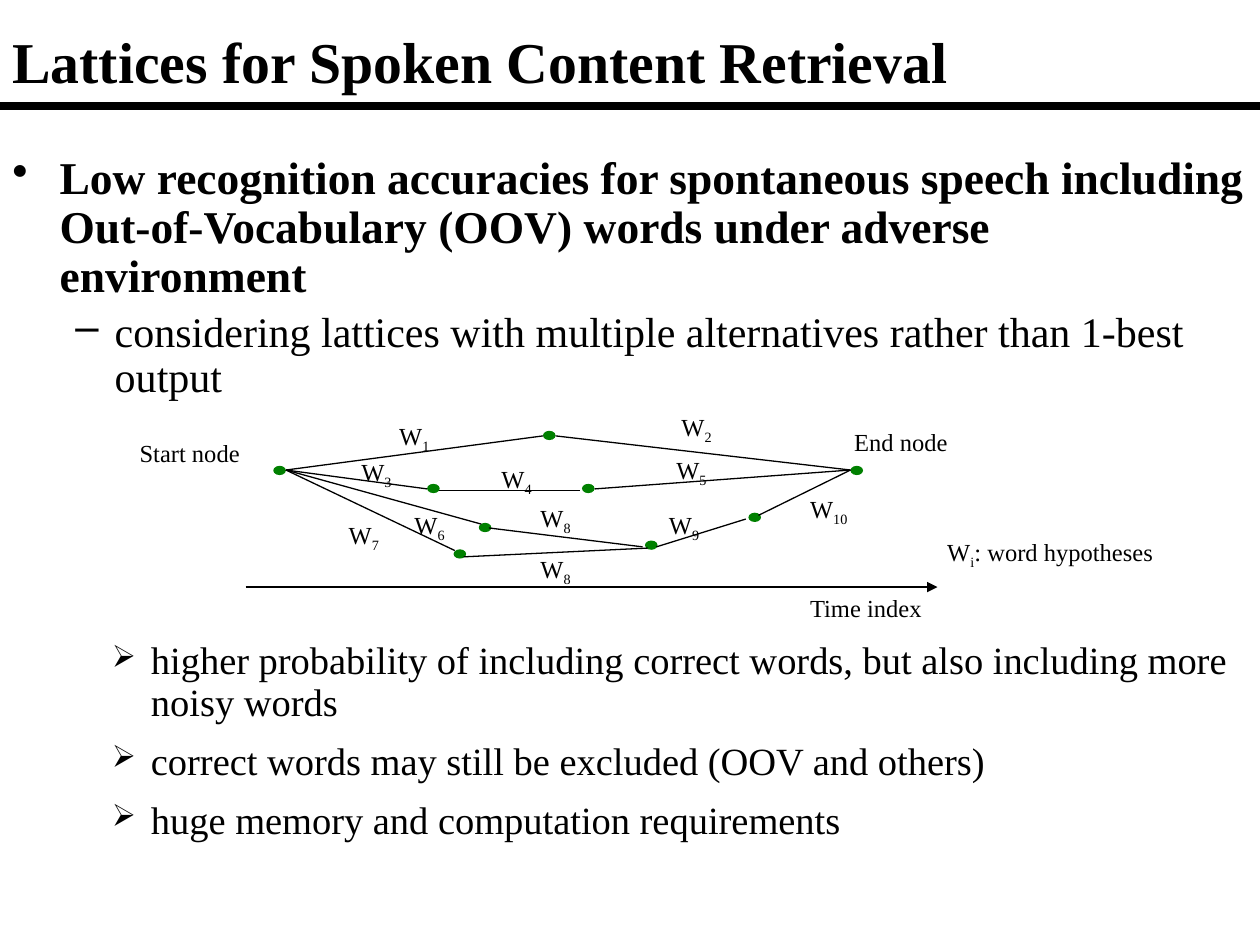
from typing import NamedTuple

from lxml.etree import SubElement
from pptx import Presentation
from pptx.dml.color import RGBColor
from pptx.enum.shapes import MSO_CONNECTOR, MSO_SHAPE
from pptx.enum.text import MSO_ANCHOR
from pptx.oxml.ns import qn
from pptx.util import Pt

FONT = "Times New Roman"
BLACK = "000000"
GREEN = "008000"
NODE_WIDTH, NODE_HEIGHT = 7.2, 5.3
LABEL_HEIGHT = 24.5
LABEL_SIZE = 14


class Node(NamedTuple):
    left: float
    top: float


class Line(NamedTuple):
    start_x: float
    start_y: float
    end_x: float
    end_y: float
    width: float = 0.75
    arrow: bool = False


class Label(NamedTuple):
    left: float
    top: float
    width: float
    text: str
    subscript: str = ""
    ending: str = ""


class Bullet(NamedTuple):
    text: str
    size: float
    sign: str
    margin: float
    hanging: float
    bold: bool = False
    space_after: float = 0
    sign_percent: int = 100


START = (163.4, 268.6)
END = (486, 268.6)

NODES = [
    Node(156.2, 266.2), Node(310.3, 246.2), Node(368.6, 308.9),
    Node(427.7, 293), Node(244.1, 276.5), Node(332.6, 276.5),
    Node(486, 266.2), Node(259.2, 313.9), Node(273.6, 298.8),
]

LINES = [
    Line(0, 60.5, 720, 60.5, width=4.5),
    Line(*START, 310.3, 249.1),
    Line(317.5, 249.1, *END),
    Line(*START, 244.1, 279.4),
    Line(250.6, 280.1, 331.2, 280.1),
    Line(339.8, 279.4, *END),
    Line(*START, 275, 299.5),
    Line(279.4, 301.7, 367.2, 312.5),
    Line(*START, 259.9, 314.6),
    Line(265, 318.2, 370.1, 313.2),
    Line(375.1, 312.5, 426.2, 296.6),
    Line(433.4, 294.5, *END),
    Line(140.4, 335.5, 535.7, 335.5, arrow=True),
]

LABELS = [
    *(Label(left, top, 32.4, "W", subscript) for left, top, subscript in (
        (221, 236.9, "1"), (382.3, 231.8, "2"), (199.4, 257.8, "3"),
        (279.4, 261.4, "4"), (379.4, 256.3, "5"), (229.7, 288, "6"),
        (192.2, 293.8, "7"), (301.7, 283.7, "8"), (301.7, 313.2, "8"),
        (375.1, 288, "9"))),
    Label(455.8, 278.6, 37.4, "W", "10"),
    Label(72.7, 247, 72, "Start node"),
    Label(481, 240.5, 68.4, "End node"),
    Label(455.8, 335.5, 78.5, "Time index"),
    Label(534.2, 303.1, 133.2, "W", "i", ": word hypotheses"),
]

MAIN_BULLETS = [
    Bullet("Low recognition accuracies for spontaneous speech including "
           "Out-of-Vocabulary (OOV) words under adverse environment",
           26, "•", 27, 27, bold=True),
    Bullet("considering lattices with multiple alternatives rather than "
           "1-best output", 24, "–", 58.5, 22.5),
]

DETAIL_BULLETS = [
    Bullet(text, 22, "➢", 79.2, 22.3, space_after=5, sign_percent=80)
    for text in (
        "higher probability of including correct words, but also including "
        "more noisy words",
        "correct words may still be excluded (OOV and others)",
        "huge memory and computation requirements")
]


def color(value: str) -> RGBColor:
    return RGBColor.from_string(value)


def style_font(font, size: float, bold: bool = False) -> None:
    font.name = FONT
    font.size = Pt(size)
    font.bold = bold
    font.color.rgb = color(BLACK)


def add_text_frame(slide, left: float, top: float, width: float,
                   height: float, wrap: bool = True):
    box = slide.shapes.add_textbox(Pt(left), Pt(top), Pt(width), Pt(height))
    box.text_frame.word_wrap = wrap
    return box.text_frame


def add_title(slide, text: str) -> None:
    frame = add_text_frame(slide, 0, 5.8, 719.3, 56.9)
    frame.vertical_anchor = MSO_ANCHOR.MIDDLE
    frame.text = text
    style_font(frame.paragraphs[0].font, 33, bold=True)


def add_bullets(slide, top: float, height: float,
                bullets: list[Bullet]) -> None:
    frame = add_text_frame(slide, 0, top, 720, height)
    for index, bullet in enumerate(bullets):
        paragraph = frame.add_paragraph() if index else frame.paragraphs[0]
        paragraph.text = bullet.text
        paragraph.line_spacing = 0.9
        paragraph.space_before = Pt(5 if index else 0)
        paragraph.space_after = Pt(bullet.space_after)
        properties = paragraph._p.get_or_add_pPr()
        properties.set("marL", str(Pt(bullet.margin)))
        properties.set("indent", str(-Pt(bullet.hanging)))
        SubElement(properties, qn("a:buSzPct"),
                   val=str(bullet.sign_percent * 1000))
        SubElement(properties, qn("a:buChar"), char=bullet.sign)
        style_font(paragraph.font, bullet.size, bullet.bold)


def add_line(slide, line: Line) -> None:
    connector = slide.shapes.add_connector(
        MSO_CONNECTOR.STRAIGHT, Pt(line.start_x), Pt(line.start_y),
        Pt(line.end_x), Pt(line.end_y))
    connector.line.color.rgb = color(BLACK)
    connector.line.width = Pt(line.width)
    if line.arrow:
        SubElement(connector.line._get_or_add_ln(), qn("a:tailEnd"),
                   type="triangle")
    SubElement(connector._element.spPr, qn("a:effectLst"))


def add_node(slide, node: Node) -> None:
    shape = slide.shapes.add_shape(
        MSO_SHAPE.OVAL, Pt(node.left), Pt(node.top),
        Pt(NODE_WIDTH), Pt(NODE_HEIGHT))
    shape.shadow.inherit = False
    shape.fill.solid()
    shape.fill.fore_color.rgb = color(GREEN)
    shape.line.fill.background()


def add_label(slide, label: Label) -> None:
    frame = add_text_frame(slide, label.left, label.top, label.width,
                           LABEL_HEIGHT, wrap=False)
    paragraph = frame.paragraphs[0]
    style_font(paragraph.font, LABEL_SIZE)
    paragraph.add_run().text = label.text
    if label.subscript:
        run = paragraph.add_run()
        run.text = label.subscript
        run.font._element.set("baseline", "-25000")
    if label.ending:
        paragraph.add_run().text = label.ending


def main() -> None:
    presentation = Presentation()
    presentation.slide_width = Pt(720)
    presentation.slide_height = Pt(540)
    slide = presentation.slides.add_slide(presentation.slide_layouts[6])
    add_title(slide, "Lattices for Spoken Content Retrieval")
    add_bullets(slide, 85, 150, MAIN_BULLETS)
    add_bullets(slide, 363, 133, DETAIL_BULLETS)
    for node in NODES:
        add_node(slide, node)
    for line in LINES:
        add_line(slide, line)
    for label in LABELS:
        add_label(slide, label)
    presentation.save("out.pptx")


if __name__ == "__main__":
    main()
